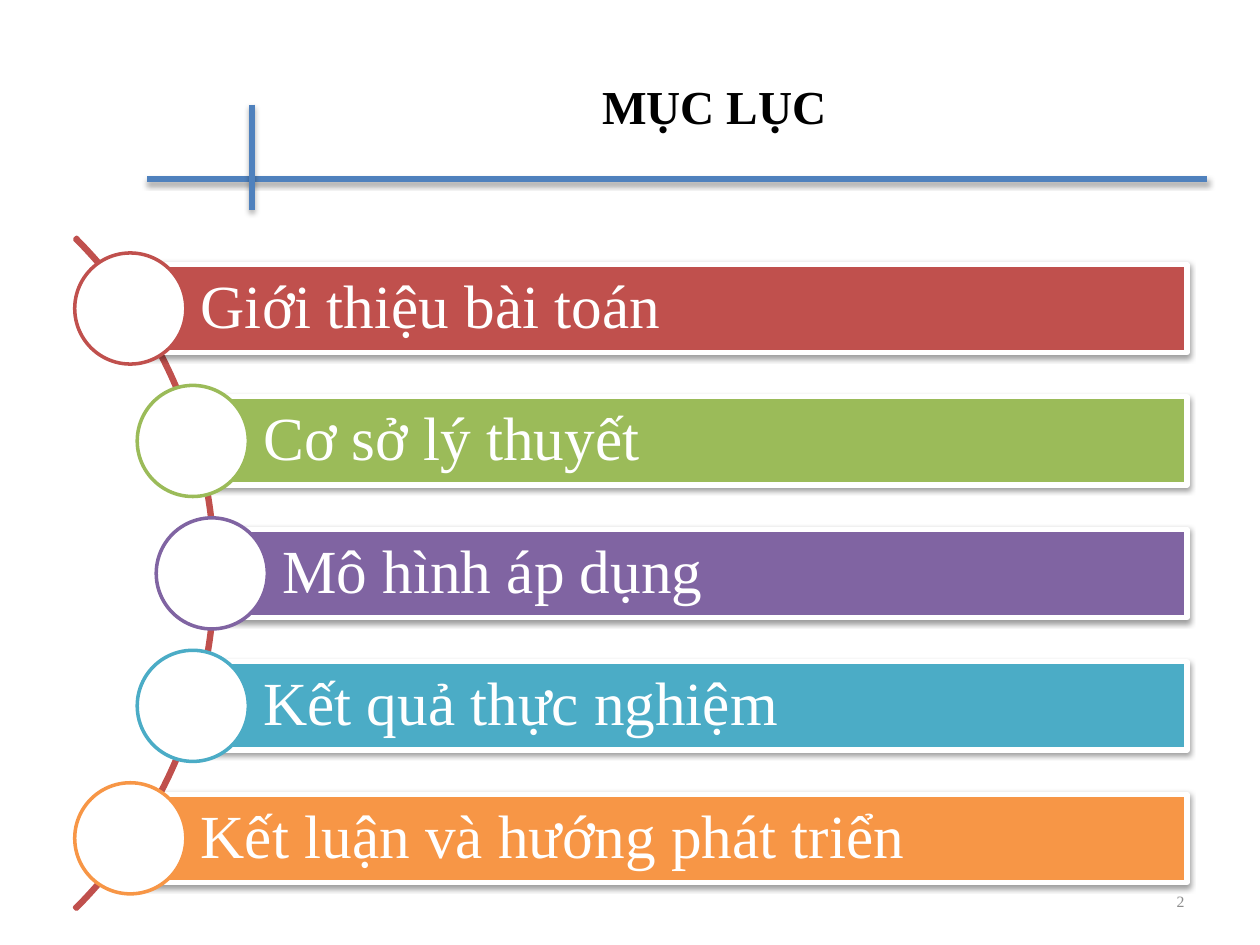
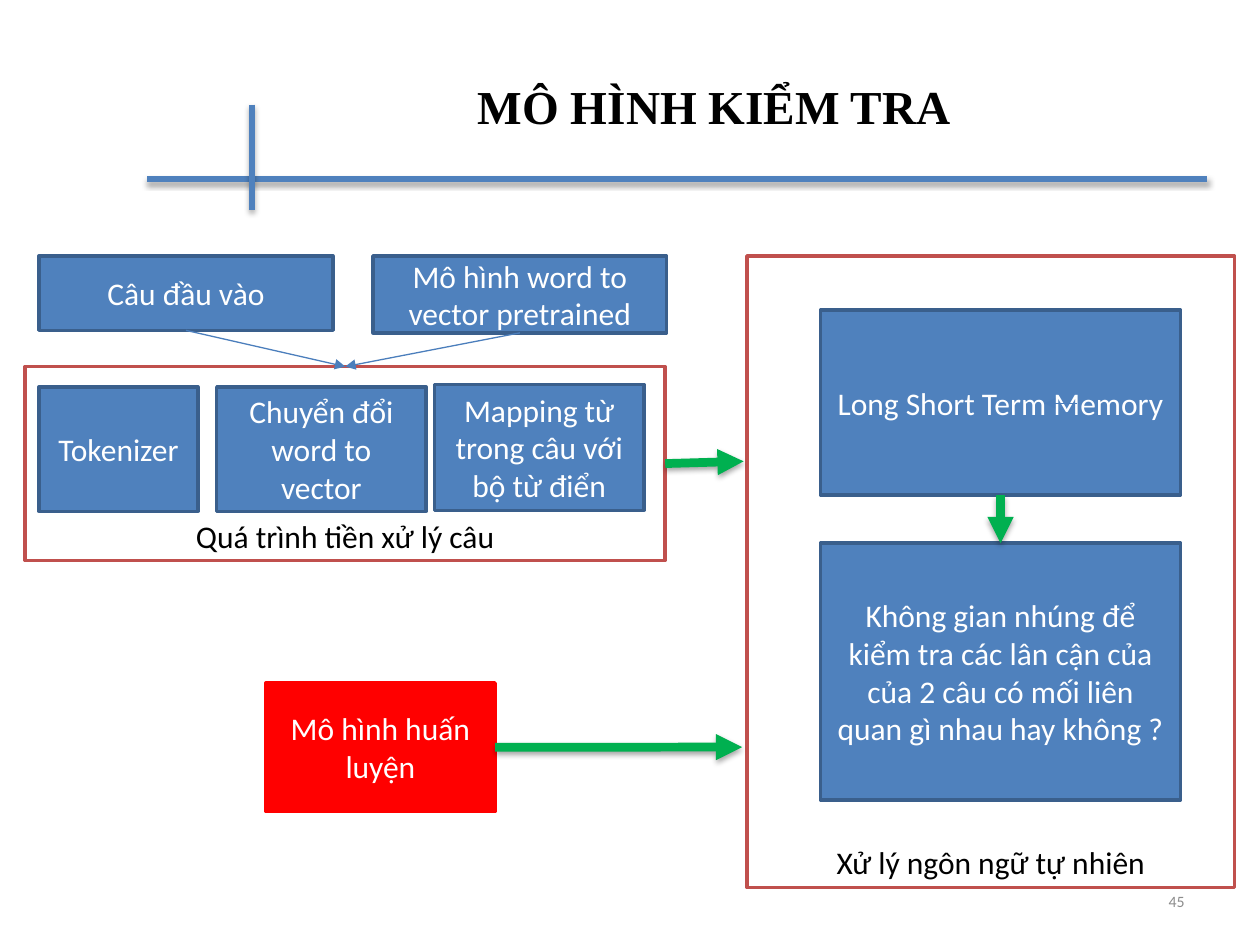
from math import sqrt
from lxml import etree
from pptx import Presentation
from pptx.dml.color import RGBColor
from pptx.enum.shapes import MSO_CONNECTOR, MSO_SHAPE
from pptx.enum.text import MSO_ANCHOR as Anchor, PP_ALIGN as Align
from pptx.oxml.ns import qn
from pptx.util import Cm, Pt

hex_color = RGBColor.from_string
SERIF, SANS = "Times New Roman", "Calibri"
WHITE, BLACK, GRAY = "FFFFFF", "000000", "8C8C8C"
BLUE, DARK_BLUE, LINK_BLUE = "4F81BD", "3A5F8C", "4B7EBC"
RED, BRIGHT_RED, GREEN = "C0504D", "FF0000", "00B050"


def paint(shape, line, width, fill=None, shadow=None, arrow=False):
    if fill:
        shape.fill.solid()
        shape.fill.fore_color.rgb = hex_color(fill)
    shape.line.color.rgb = hex_color(line)
    shape.line.width = Pt(width)
    properties = shape._element.spPr
    if arrow:
        etree.SubElement(properties.find(qn("a:ln")), qn("a:tailEnd"), type="triangle")
    effects = etree.SubElement(properties, qn("a:effectLst"))
    if shadow:
        opacity, distance = shadow
        outer = etree.SubElement(effects, qn("a:outerShdw"), blurRad="40000",
                                 dist=str(distance), dir="5400000", rotWithShape="0")
        tint = etree.SubElement(outer, qn("a:srgbClr"), val=BLACK)
        etree.SubElement(tint, qn("a:alpha"), val=str(opacity * 1000))


def write(frame, text, size, color, font, align=Align.CENTER, anchor=Anchor.MIDDLE):
    frame.word_wrap = True
    frame.vertical_anchor = anchor
    paragraph = frame.paragraphs[0]
    paragraph.text = text
    paragraph.alignment = align
    paragraph.font.size = Pt(size)
    paragraph.font.name = font
    paragraph.font.color.rgb = hex_color(color)
    return paragraph


LINE_SHADOW = (35, 23000)
BAR_SHADOW = (38, 20000)

prs = Presentation()
prs.slide_width, prs.slide_height = Cm(25.4), Cm(19.05)

slides = []
for heading, number, number_font in [("MỤC LỤC", "2", SERIF), ("MÔ HÌNH KIỂM TRA", "45", SANS)]:
    slide = prs.slides.add_slide(prs.slide_layouts[5])
    slides.append(slide)
    for ends in [(2.97, 3.61, 24.33, 3.61), (5.08, 2.11, 5.08, 4.24)]:
        rule = slide.shapes.add_connector(MSO_CONNECTOR.STRAIGHT, *map(Cm, ends))
        paint(rule, BLUE, 3, shadow=LINE_SHADOW)
    title = slide.shapes.title
    title.left, title.top, title.width, title.height = Cm(2.97), Cm(0.53), Cm(22.86), Cm(3.18)
    write(title.text_frame, heading, 27, BLACK, SERIF).font.bold = True
    page = slide.shapes.add_textbox(Cm(18.21), Cm(17.65), Cm(5.92), Cm(1.02))
    write(page.text_frame, number, 9, GRAY, number_font, Align.RIGHT)

contents, model = slides

ARC_X, ARC_Y, ARC_RADIUS = -5.23, 11.56, 9.58
arc = contents.shapes.add_shape(MSO_SHAPE.BLOCK_ARC, Cm(ARC_X - ARC_RADIUS), Cm(ARC_Y - ARC_RADIUS),
                                Cm(2 * ARC_RADIUS), Cm(2 * ARC_RADIUS))
for index, value in enumerate([189, 27, 0.003]):
    arc.adjustments[index] = value
paint(arc, RED, 2)
arc.fill.background()

BAR_RIGHT, BAR_HEIGHT, DOT, PITCH, DOT_RADIUS = 23.93, 1.78, 2.24, 2.67, 9.5
chapters = [
    ("Giới thiệu bài toán", RED),
    ("Cơ sở lý thuyết", "9BBB59"),
    ("Mô hình áp dụng", "8064A2"),
    ("Kết quả thực nghiệm", "4BACC6"),
    ("Kết luận và hướng phát triển", "F79646"),
]
for index, (chapter, color) in enumerate(chapters):
    offset = (index - 2) * PITCH
    x = ARC_X + sqrt(DOT_RADIUS ** 2 - offset ** 2)
    y = ARC_Y + offset
    bar = contents.shapes.add_shape(MSO_SHAPE.RECTANGLE, Cm(x), Cm(y - BAR_HEIGHT / 2),
                                    Cm(BAR_RIGHT - x), Cm(BAR_HEIGHT))
    paint(bar, WHITE, 3, color, BAR_SHADOW)
    bar.text_frame.margin_left = Cm(1.42)
    write(bar.text_frame, chapter, 35, WHITE, SERIF, Align.LEFT).line_spacing = 0.9
    dot = contents.shapes.add_shape(MSO_SHAPE.OVAL, Cm(x - DOT / 2), Cm(y - DOT / 2), Cm(DOT), Cm(DOT))
    paint(dot, color, 2, WHITE)

PANEL = (WHITE, RED, BLACK, Anchor.BOTTOM)
STEP = (BLUE, DARK_BLUE, WHITE, Anchor.MIDDLE)
TRAINED = (BRIGHT_RED, BRIGHT_RED, WHITE, Anchor.MIDDLE)
parts = [
    ("language", "Xử lý ngôn ngữ tự nhiên", (15.06, 5.16, 9.83, 12.73), PANEL),
    ("input", "Câu đầu vào", (0.79, 5.16, 5.92, 1.5), STEP),
    ("preprocess", "Quá trình tiền xử lý câu", (0.51, 7.39, 12.9, 3.91), PANEL),
    ("tokenizer", "Tokenizer", (0.79, 7.8, 3.2, 2.51), STEP),
    ("convert", "Chuyển đổi word to vector", (4.37, 7.8, 4.22, 2.51), STEP),
    ("mapping", "Mapping từ trong câu với bộ từ điển", (8.76, 7.75, 4.22, 2.54), STEP),
    ("pretrained", "Mô hình word to vector pretrained", (7.52, 5.16, 5.92, 1.55), STEP),
    ("memory", "Long Short Term Memory", (16.54, 6.25, 7.26, 3.73), STEP),
    ("trained", "Mô hình huấn luyện", (5.36, 13.77, 4.62, 2.59), TRAINED),
    ("embedding", "Không gian nhúng để kiểm tra các lân cận của của 2 câu có mối liên quan gì nhau hay không ?",
     (16.54, 10.95, 7.26, 5.18), STEP),
]
boxes = {}
for key, text, place, (fill, outline, color, anchor) in parts:
    box = model.shapes.add_shape(MSO_SHAPE.RECTANGLE, *map(Cm, place))
    paint(box, outline, 2, fill)
    write(box.text_frame, text, 18, color, SANS, anchor=anchor)
    boxes[key] = box

THIN = (LINK_BLUE, 0.75, None)
THICK = (GREEN, 5, LINE_SHADOW)
flows = [
    ((3.75, 6.66, 6.96, 7.39), ("input", 2), ("preprocess", 0), THIN),
    ((10.48, 6.71, 6.96, 7.39), ("pretrained", 2), ("preprocess", 0), THIN),
    ((21.72, 8.13, 21.06, 8.13), None, None, THIN),
    ((13.41, 9.34, 14.99, 9.3), ("preprocess", 3), None, THICK),
    ((9.98, 15.06, 14.96, 15.06), ("trained", 3), None, THICK),
    ((20.17, 9.98, 20.17, 10.95), ("memory", 2), ("embedding", 0), THICK),
]
for ends, source, target, (color, width, shadow) in flows:
    flow = model.shapes.add_connector(MSO_CONNECTOR.STRAIGHT, *map(Cm, ends))
    if source:
        flow.begin_connect(boxes[source[0]], source[1])
    if target:
        flow.end_connect(boxes[target[0]], target[1])
    paint(flow, color, width, shadow=shadow, arrow=True)

prs.save("out.pptx")
